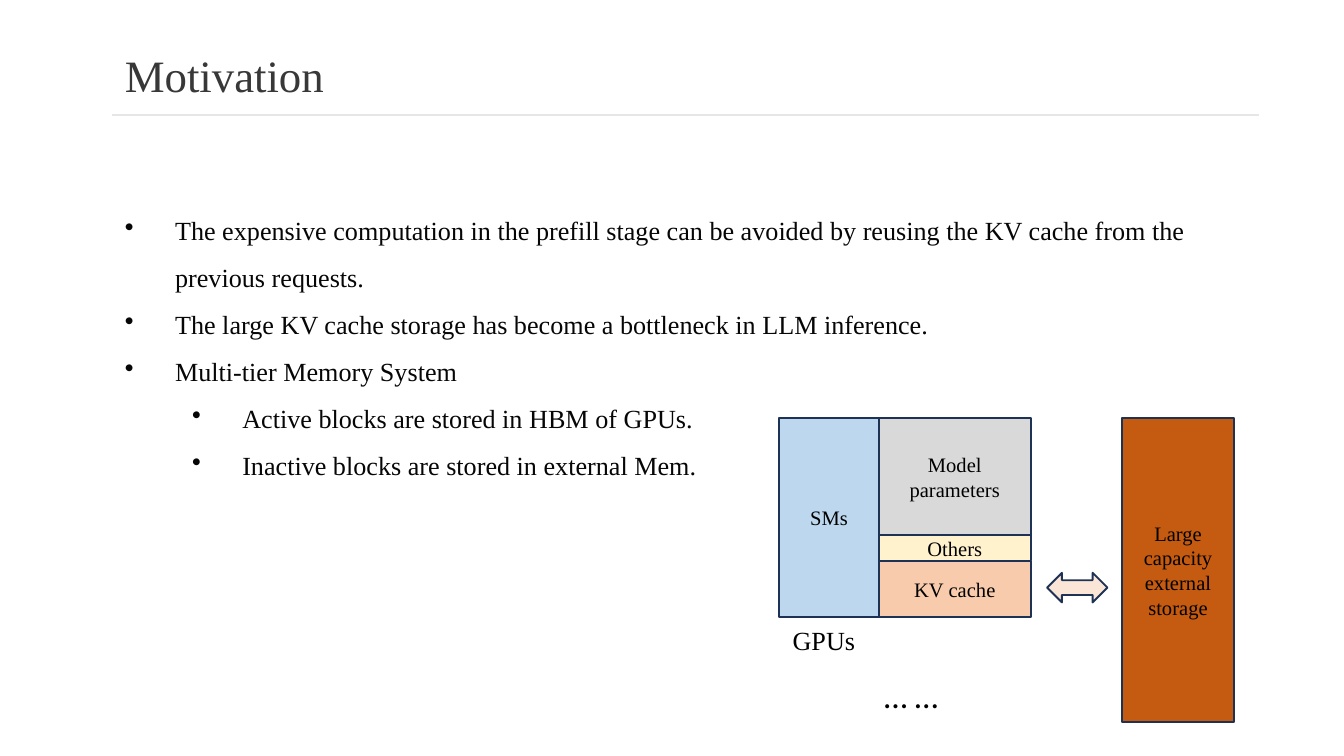
"""Build the Motivation slide on KV cache storage and the multi-tier memory system."""
from dataclasses import dataclass

from lxml import etree
from pptx import Presentation
from pptx.dml.color import RGBColor
from pptx.enum.shapes import MSO_CONNECTOR, MSO_SHAPE
from pptx.enum.text import MSO_ANCHOR, MSO_AUTO_SIZE, PP_ALIGN
from pptx.oxml.ns import qn
from pptx.util import Cm, Pt

RECTANGLE = MSO_SHAPE.RECTANGLE
DOUBLE_ARROW = MSO_SHAPE.LEFT_RIGHT_ARROW
STRAIGHT = MSO_CONNECTOR.STRAIGHT
MIDDLE = MSO_ANCHOR.MIDDLE
CENTER = PP_ALIGN.CENTER
FIT_TEXT = MSO_AUTO_SIZE.SHAPE_TO_FIT_TEXT


@dataclass(frozen=True)
class Theme:
    font: str = "Times New Roman"
    dots_font: str = "Calibri"
    title: str = "383838"
    body: str = "060607"
    black: str = "000000"
    rule: str = "E6E6E6"
    outline: str = "1E3256"
    storage: str = "C55A11"
    parameters: str = "D9D9D9"
    others: str = "FFF2CC"
    cache: str = "F8CBAD"
    processors: str = "BDD7EE"
    arrow: str = "FBE5D6"
    title_size: int = 24
    dots_size: int = 18
    body_size: int = 14
    label_size: int = 11


theme = Theme()


def add_text(paragraph, text, size, color, font=theme.font):
    run = paragraph.add_run()
    run.text = text
    run.font.name = font
    run.font.size = Pt(size)
    run.font.color.rgb = RGBColor.from_string(color)


def add_block(slide, kind, left, top, width, height, fill, label=""):
    shape = slide.shapes.add_shape(kind, Cm(left), Cm(top), Cm(width), Cm(height))
    shape.shadow.inherit = False
    shape.fill.solid()
    shape.fill.fore_color.rgb = RGBColor.from_string(fill)
    shape.line.color.rgb = RGBColor.from_string(theme.outline)
    shape.line.width = Pt(1)
    if label:
        frame = shape.text_frame
        frame.word_wrap = True
        frame.vertical_anchor = MIDDLE
        paragraph = frame.paragraphs[0]
        paragraph.alignment = CENTER
        add_text(paragraph, label, theme.label_size, theme.black)


presentation = Presentation()
presentation.slide_width = Cm(25.4)
presentation.slide_height = Cm(14.28)
slide = presentation.slides.add_slide(presentation.slide_layouts[6])

margin, content_width, rule_top = 2.11, 21.69, 2.17
rule = slide.shapes.add_connector(
    STRAIGHT, Cm(margin), Cm(rule_top), Cm(margin + content_width), Cm(rule_top)
)
rule.line.color.rgb = RGBColor.from_string(theme.rule)
rule.line.width = Pt(1)
etree.SubElement(rule._element.spPr, qn("a:effectLst"))

title = slide.shapes.add_textbox(Cm(margin), Cm(0.64), Cm(content_width), Cm(1.52))
title.text_frame.word_wrap = True
title.text_frame.vertical_anchor = MIDDLE
add_text(title.text_frame.paragraphs[0], "Motivation", theme.title_size, theme.title)

bullets = [
    (0, "The expensive computation in the prefill stage can be avoided by reusing "
        "the KV cache from the previous requests."),
    (0, "The large KV cache storage has become a bottleneck in LLM inference."),
    (0, "Multi-tier Memory System"),
    (1, "Active blocks are stored in HBM of GPUs."),
    (1, "Inactive blocks are stored in external Mem."),
]
hanging, level_step = 0.95, 1.27
body = slide.shapes.add_textbox(Cm(margin), Cm(3.63), Cm(21.44), Cm(6.48))
body.text_frame.word_wrap = True
for index, (level, text) in enumerate(bullets):
    paragraph = body.text_frame.paragraphs[0] if index == 0 else body.text_frame.add_paragraph()
    properties = paragraph._p.get_or_add_pPr()
    properties.set("marL", str(Cm(hanging + level * level_step)))
    properties.set("indent", str(-Cm(hanging)))
    etree.SubElement(properties, qn("a:buChar"), char="•")
    paragraph.level = level
    paragraph.line_spacing = 1.5
    add_text(paragraph, text, theme.body_size, theme.body)

diagram_top = 7.9
processors_left, processors_width = 14.73, 1.88
memory_left, memory_width = processors_left + processors_width, 2.87
memory_blocks = [
    ("Model parameters", 2.21, theme.parameters),
    ("Others", 0.48, theme.others),
    ("KV cache", 1.07, theme.cache),
]
gpu_height = sum(height for _, height, _ in memory_blocks)

add_block(slide, RECTANGLE, 21.21, diagram_top, 2.11, 5.74, theme.storage,
          "Large capacity external storage")
block_top = diagram_top
for label, height, fill in memory_blocks:
    add_block(slide, RECTANGLE, memory_left, block_top, memory_width, height, fill, label)
    block_top += height
add_block(slide, RECTANGLE, processors_left, diagram_top, processors_width, gpu_height,
          theme.processors, "SMs")

captions = [
    ("GPUs", processors_left, diagram_top + gpu_height, 1.7, 0.86, theme.body_size, theme.font),
    ("… …", 16.46, 12.62, 1.57, 1.02, theme.dots_size, theme.dots_font),
]
for text, left, top, width, height, size, font in captions:
    caption = slide.shapes.add_textbox(Cm(left), Cm(top), Cm(width), Cm(height))
    caption.text_frame.word_wrap = False
    caption.text_frame.auto_size = FIT_TEXT
    add_text(caption.text_frame.paragraphs[0], text, size, theme.black, font)

add_block(slide, DOUBLE_ARROW, 19.79, 10.82, 1.14, 0.56, theme.arrow)

presentation.save("out.pptx")
